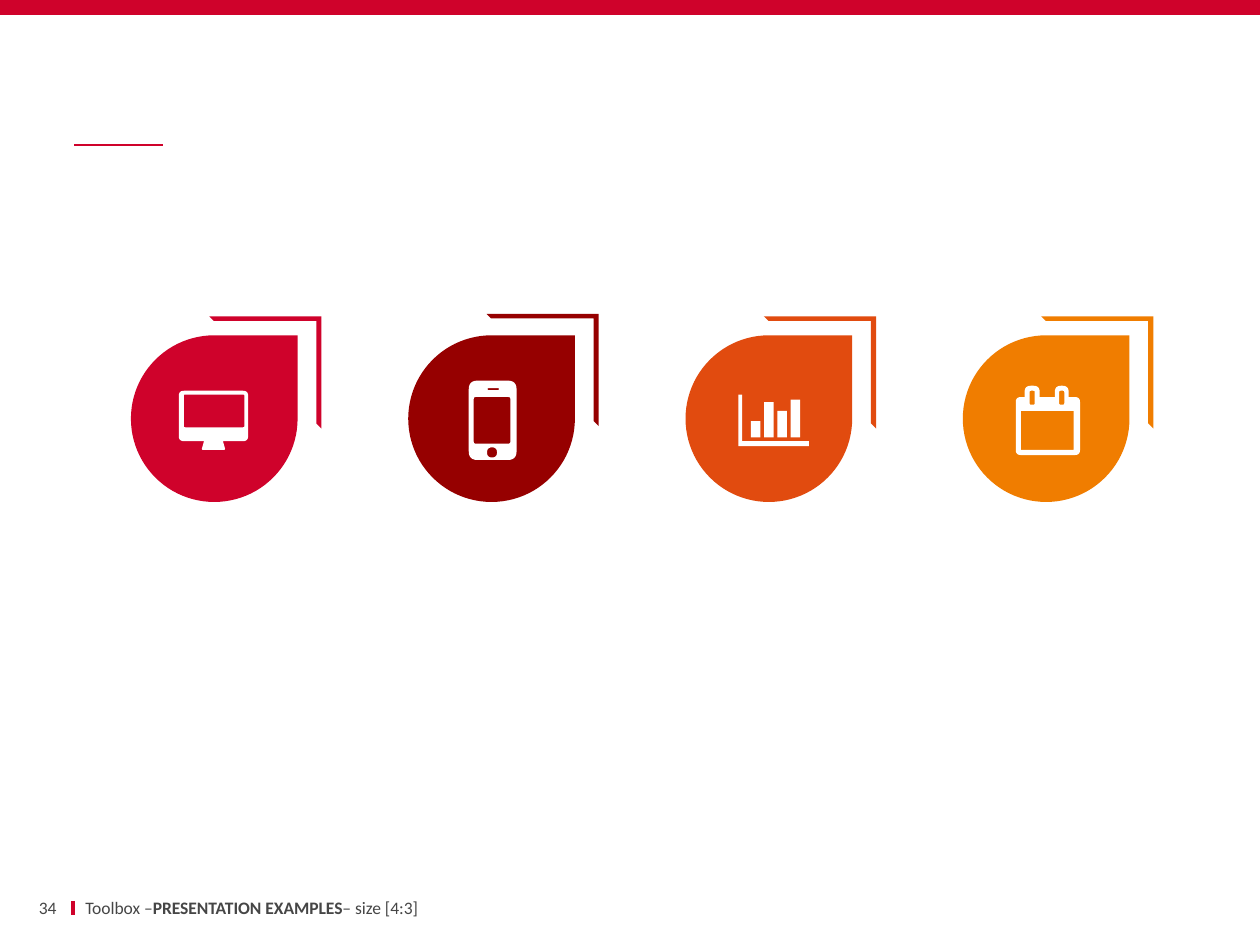
from lxml import etree
from pptx import Presentation
from pptx.dml.color import RGBColor
from pptx.enum import shapes, text
from pptx.oxml.ns import qn
from pptx.util import Cm, Pt

COLORS = {"red": "CF022B", "dark_red": "960000", "vermilion": "E14B0F",
          "orange": "F07D00", "white": "FFFFFF", "grey": "464646"}
ICON_UNIT = Cm(0.0254)  # icon outlines are given in 1/100 inch
FINE = 100              # freeform steps per icon unit


def box(left, top, right, bottom, radius=0):
    """Corners (x, y, radius) of a rectangle, clockwise."""
    return [(left, top, radius), (right, top, radius),
            (right, bottom, radius), (left, bottom, radius)]


def rounded(corners, steps=6):
    """Points of a closed outline whose corners are softened by curves."""
    def toward(start, end):
        (x, y, radius), (end_x, end_y, _) = start, end
        length = abs(complex(end_x - x, end_y - y))
        return x + (end_x - x) * radius / length, y + (end_y - y) * radius / length

    points = []
    for i, corner in enumerate(corners):
        x, y, radius = corner
        if not radius:
            points.append((x, y))
            continue
        entry = toward(corner, corners[i - 1])
        leave = toward(corner, corners[(i + 1) % len(corners)])
        for step in range(steps + 1):
            t = step / steps
            points.append(tuple((1 - t) ** 2 * a + 2 * t * (1 - t) * b + t ** 2 * c
                                for a, b, c in zip(entry, (x, y), leave)))
    return [(round(x * FINE), round(y * FINE)) for x, y in points]


MONITOR = [
    [(38, 44, 4), (93, 44, 4), (93, 84, 4), (73, 84, 0), (75, 91, 1.5),
     (56, 91, 1.5), (58, 84, 0), (38, 84, 4)],
    box(42, 47, 90, 73, 1),
]
PHONE = [box(48, 36, 86, 99, 7), box(52, 49, 81, 86, 1.5),
         box(63, 42, 72, 43.5, 0.7), box(62.5, 89, 70.5, 97, 4)]
BAR_CHART = [
    [(42, 47, 0), (45, 47, 0), (45, 84, 0), (98, 84, 0), (98, 88, 0), (42, 88, 0)],
    *[box(52 + 10.5 * i, top, 59.5 + 10.5 * i, 81)
      for i, top in enumerate((68, 53, 60, 51))],
]
CALENDAR = [
    [(42, 49, 4), (49, 49, 0), (49, 40, 5), (61, 40, 5), (61, 49, 0), (73, 49, 0),
     (73, 40, 5), (84, 40, 5), (84, 49, 0), (93, 49, 4), (93, 95, 4), (42, 95, 4)],
    box(46, 60, 88, 91), box(53, 44, 57, 55, 1), box(76.5, 44, 80.5, 55, 1),
]


class SlideBuilder:
    font = {"name": "Calibri", "size": Pt(10)}

    def __init__(self, slide):
        self.slide = slide

    @staticmethod
    def color(name):
        return RGBColor.from_string(COLORS[name])

    def paint(self, shape, color):
        shape.shadow.inherit = False
        shape.fill.solid()
        shape.fill.fore_color.rgb = self.color(color)
        shape.line.fill.background()

    def shape(self, kind, left, top, width, height, color, rotation=0, adjustments=()):
        shape = self.slide.shapes.add_shape(kind, Cm(left), Cm(top), Cm(width), Cm(height))
        self.paint(shape, color)
        shape.rotation = rotation
        for i, value in enumerate(adjustments):
            shape.adjustments[i] = value

    def icon(self, outlines, left, top, color):
        first, *others = [rounded(outline) for outline in outlines]
        builder = self.slide.shapes.build_freeform(*first[0], scale=ICON_UNIT / FINE)
        builder.add_line_segments(first[1:], close=True)
        for points in others:
            builder.move_to(*points[0])
            builder.add_line_segments(points[1:], close=True)
        self.paint(builder.convert_to_shape(Cm(left), Cm(top)), color)

    def line(self, x1, y1, x2, y2, color, width):
        line = self.slide.shapes.add_connector(
            shapes.MSO_CONNECTOR.STRAIGHT, Cm(x1), Cm(y1), Cm(x2), Cm(y2))
        line.line.color.rgb = self.color(color)
        line.line.width = Pt(width)
        etree.SubElement(line._element.spPr, qn("a:effectLst"))

    def text(self, left, top, width, height, runs, align, side_inset):
        """Add one paragraph of (wording, bold) runs."""
        frame = self.slide.shapes.add_textbox(
            Cm(left), Cm(top), Cm(width), Cm(height)).text_frame
        layout = {"word_wrap": True, "vertical_anchor": text.MSO_ANCHOR.MIDDLE,
                  "margin_left": Cm(side_inset), "margin_right": Cm(side_inset),
                  "margin_top": Cm(0.13), "margin_bottom": Cm(0.13)}
        for name, value in layout.items():
            setattr(frame, name, value)
        paragraph = frame.paragraphs[0]
        paragraph.alignment = align
        for wording, bold in runs:
            run = paragraph.add_run()
            run.text = wording
            for name, value in {**self.font, "bold": bold}.items():
                setattr(run.font, name, value)
            run.font.color.rgb = self.color("grey")


def main():
    deck = Presentation()
    deck.slide_width, deck.slide_height = Cm(25.4), Cm(19.05)
    page = SlideBuilder(deck.slides.add_slide(deck.slide_layouts[6]))
    preset = shapes.MSO_SHAPE

    page.line(1.47, 18.16, 1.47, 18.44, "red", 2.25)
    page.line(1.5, 2.92, 3.28, 2.92, "red", 1)
    page.shape(preset.RECTANGLE, 0, 0, 25.4, 0.3, "red")

    first_left, pitch, drop_top, drop_size = 2.64, 5.59, 6.76, 3.36
    drops = [("red", 6.38, MONITOR), ("dark_red", 6.33, PHONE),
             ("vermilion", 6.38, BAR_CHART), ("orange", 6.38, CALENDAR)]
    for i, (color, frame_top, icon) in enumerate(drops):
        left = first_left + i * pitch
        page.shape(preset.TEAR, left, drop_top, drop_size, drop_size, color)
        page.shape(preset.HALF_FRAME, left + 1.58, frame_top, 2.26, 2.26, color,
                   rotation=90, adjustments=(0.046, 0.039))
        page.icon(icon, left, drop_top, "white")

    page.text(0.33, 18.06, 0.81, 0.46, [("34", False)], text.PP_ALIGN.RIGHT, 0)
    page.text(1.47, 18.06, 12.62, 0.46,
              [("Toolbox –", False), ("PRESENTATION EXAMPLES", True),
               ("– size [4:3]", False)], text.PP_ALIGN.LEFT, 0.25)
    deck.save("out.pptx")


if __name__ == "__main__":
    main()
